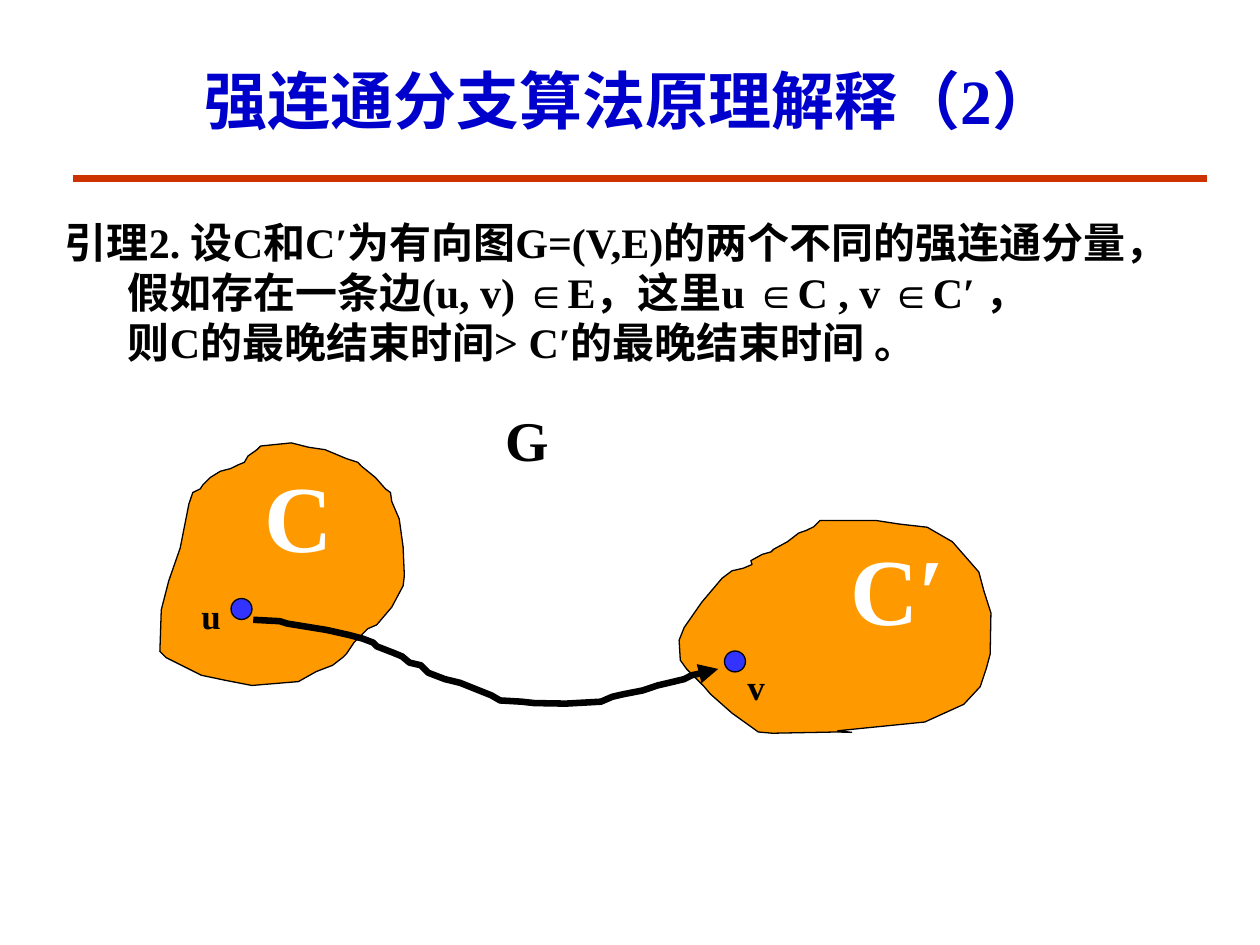
from lxml import etree
from pptx import Presentation
from pptx.dml.color import RGBColor
from pptx.enum.shapes import MSO_CONNECTOR, MSO_SHAPE
from pptx.enum.text import MSO_ANCHOR, PP_ALIGN
from pptx.oxml.ns import qn
from pptx.util import Pt

FONT = "Times New Roman"
COLORS = {
    "title": "0000CC",
    "rule": "CC3300",
    "text": "000000",
    "label": "FFFFFF",
    "component": "FF9900",
    "vertex": "3333FF",
}
VERTEX_SIZE = 12

# Outlines, as (x, y) in points
COMPONENT_C = [
    (108, 288), (103, 313.2), (96.5, 331.9), (92.2, 348.5), (91.4, 372.2),
    (95, 375.8), (105.1, 380.9), (115.2, 385.9), (128.9, 388.8), (144, 391.7),
    (170.6, 389.5), (180.7, 383.8), (190.1, 380.2), (195.8, 375.8), (198, 373.7),
    (202.3, 367.2), (210.2, 359.3), (215.3, 357.1), (223.9, 347), (230.4, 334.8),
    (231.1, 329), (230.4, 312.5), (228.2, 296.6), (223.9, 286.6), (223.2, 281.5),
    (220.3, 279.4), (214.6, 272.9), (206.6, 266.4), (204.5, 264.2), (198, 262.1),
    (185.8, 257), (176.4, 255.6), (166.5, 253.1), (149, 254.9), (146.9, 257),
    (141.8, 260.6), (139.7, 264.2), (136.1, 265.7), (131.8, 267.8), (126, 269.3),
    (120.2, 272.9), (115.9, 277.2), (114.5, 279.4), (110.2, 281.5),
]
COMPONENT_C_PRIME = [
    (424.8, 324.7), (418.3, 326.2), (412.6, 330.5), (401, 344.2), (391, 358.6),
    (388.1, 365.8), (388.8, 377.3), (392.4, 382.3), (401.8, 391.7), (406.1, 396.7),
    (418.3, 407.5), (433.4, 418.3), (441.4, 419), (478.1, 418.3), (486.7, 418.5),
    (478.8, 417.6), (528.5, 412.6), (550.8, 402.5), (560.2, 392.4), (563.8, 381.6),
    (565.9, 373.7), (566.3, 350.3), (562.3, 337.7), (559.4, 326.9), (544.3, 309.6),
    (529.9, 301.3), (514.1, 299.5), (500.4, 297.4), (468.7, 297.4), (465.1, 301),
    (460.8, 303.1), (456.5, 304.6), (450, 309.6), (442.1, 313.9), (440.6, 315.4),
    (435.6, 316.8), (429.1, 320.4), (429.8, 322.6),
]
EDGE_U_V = [
    (144.7, 354.2), (159.8, 355), (164.2, 356.4), (186.5, 360), (199.4, 362.9),
    (207.4, 365), (213.1, 367.2), (215.3, 369.4), (224.6, 373), (229.7, 375.1),
    (234, 378.7), (240.5, 380.2), (244.8, 384.5), (254.2, 388.1), (262.8, 390.2),
    (280.8, 397.4), (285.8, 400.3), (298.1, 401), (305.3, 401.8), (323.3, 402.1),
    (343.4, 401), (349.9, 398.2), (356.4, 396.7), (367.2, 394.6), (375.8, 391.7),
    (382.3, 390.2), (391, 388.1), (395.3, 385.9), (401.8, 384.5), (410.4, 382.3),
]


def color(name):
    return RGBColor.from_string(COLORS[name])


def set_line(shape, color_name, width):
    shape.line.color.rgb = color(color_name)
    shape.line.width = Pt(width)


def set_fill(shape, color_name):
    shape.fill.solid()
    shape.fill.fore_color.rgb = color(color_name)


def add_text(slide, text, box, size, color_name="text", align=PP_ALIGN.LEFT,
             anchor=MSO_ANCHOR.TOP, hanging=0):
    frame = slide.shapes.add_textbox(*map(Pt, box)).text_frame
    frame.word_wrap = True
    frame.vertical_anchor = anchor
    paragraph = frame.paragraphs[0]
    paragraph.text = text
    paragraph.alignment = align
    if hanging:
        properties = paragraph._p.get_or_add_pPr()
        properties.set("marL", str(Pt(hanging)))
        properties.set("indent", str(-Pt(hanging)))
    font = paragraph.font
    font.name = FONT
    font.size = Pt(size)
    font.bold = True
    font.color.rgb = color(color_name)


def add_rule(slide, left, right, y):
    rule = slide.shapes.add_connector(
        MSO_CONNECTOR.STRAIGHT, Pt(left), Pt(y), Pt(right), Pt(y))
    set_line(rule, "rule", 4.5)
    etree.SubElement(rule._element.spPr, qn("a:effectLst"))


def add_outline(slide, points, close):
    start, *rest = [(Pt(x), Pt(y)) for x, y in points]
    builder = slide.shapes.build_freeform(*start)
    builder.add_line_segments(rest, close=close)
    shape = builder.convert_to_shape()
    shape.shadow.inherit = False
    return shape


def add_component(slide, points):
    component = add_outline(slide, points, close=True)
    set_fill(component, "component")
    set_line(component, "text", 0.75)


def add_edge(slide, points):
    edge = add_outline(slide, points, close=False)
    edge.fill.background()
    set_line(edge, "text", 3.75)
    line = edge.line._get_or_add_ln()
    etree.SubElement(line, qn("a:round"))
    etree.SubElement(line, qn("a:tailEnd"), type="triangle")


def add_vertex(slide, left, top):
    vertex = slide.shapes.add_shape(
        MSO_SHAPE.OVAL, Pt(left), Pt(top), Pt(VERTEX_SIZE), Pt(VERTEX_SIZE))
    vertex.shadow.inherit = False
    set_fill(vertex, "vertex")
    set_line(vertex, "text", 0.75)


def main():
    presentation = Presentation()
    presentation.slide_width, presentation.slide_height = Pt(720), Pt(540)
    slide = presentation.slides.add_slide(presentation.slide_layouts[6])

    # Heading and lemma
    add_rule(slide, 42, 690, 102)
    add_text(slide, "强连通分支算法原理解释（2）", (54, 18, 612, 78), 36, "title",
             PP_ALIGN.CENTER, MSO_ANCHOR.MIDDLE)
    add_text(slide,
             "引理2. 设C和C′为有向图G=(V,E)的两个不同的强连通分量，"
             "假如存在一条边(u, v) ∈E，这里u ∈C , v ∈C′ ，\v"
             "则C的最晚结束时间> C′的最晚结束时间 。",
             (30, 120, 654, 366), 24, hanging=36)

    # Strongly connected components
    add_component(slide, COMPONENT_C)
    add_component(slide, COMPONENT_C_PRIME)
    add_text(slide, "C", (144, 258, 33, 73), 54, "label", PP_ALIGN.CENTER)
    add_text(slide, "C′", (468, 300, 90, 73), 54, "label", PP_ALIGN.CENTER)

    # Vertices and the edge between them
    add_vertex(slide, 132, 342)
    add_text(slide, "u", (108, 336, 30, 32), 20)
    add_text(slide, "v", (420, 376.5, 42, 32), 20)
    add_vertex(slide, 414, 372)
    add_edge(slide, EDGE_U_V)

    # Graph name
    add_text(slide, "G", (282, 228, 66, 46), 32)

    presentation.save("out.pptx")


if __name__ == "__main__":
    main()
